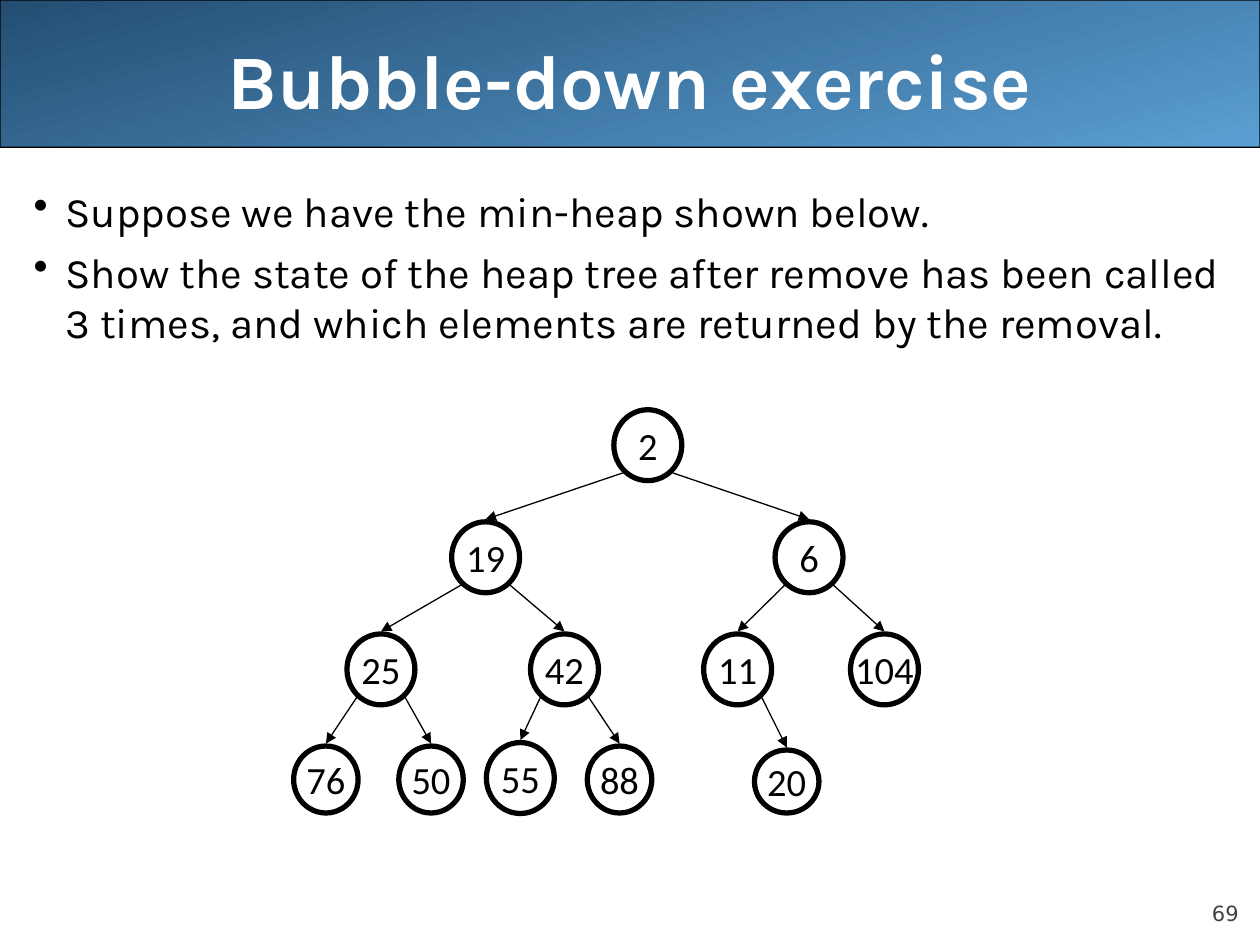
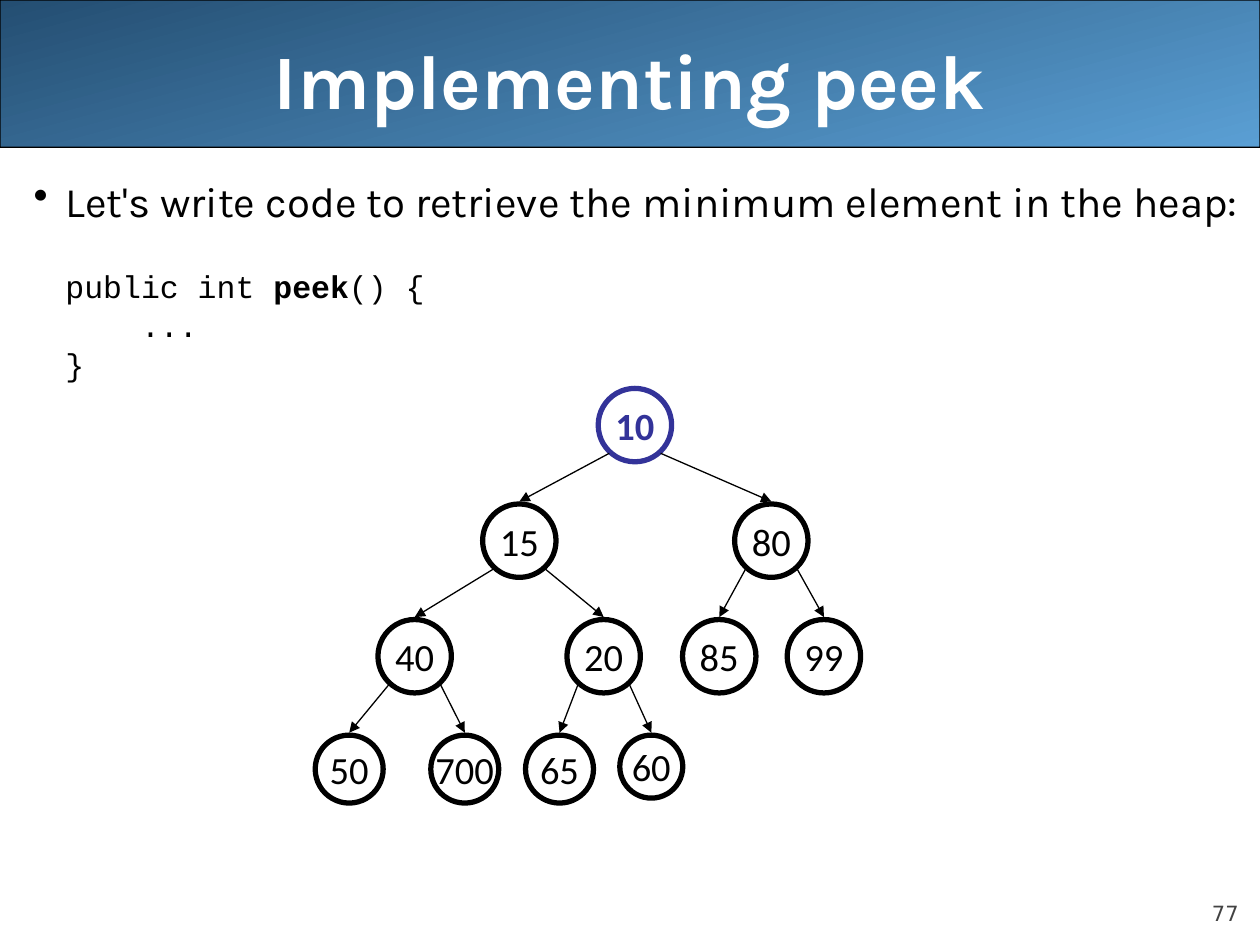
from dataclasses import dataclass

from lxml.etree import SubElement
from pptx import Presentation
from pptx.dml.color import RGBColor
from pptx.enum.shapes import MSO_CONNECTOR as Line, MSO_SHAPE as Shape
from pptx.enum.text import MSO_ANCHOR as Anchor, PP_ALIGN as Align
from pptx.oxml.ns import qn
from pptx.util import Cm, Pt


@dataclass(frozen=True)
class Theme:
    black: str = "000000"
    white: str = "FFFFFF"
    grey: str = "424242"
    accent: str = "333399"
    band: tuple = ("244E72", "5A9FD4")
    text_font: str = "Karla"
    node_font: str = "Calibri"
    code_font: str = "Courier New"
    number_font: str = "DejaVu Sans"
    title_size: int = 44
    body_size: int = 24
    node_size: int = 22
    code_size: int = 18
    number_size: int = 12
    ring: float = 3
    thin: float = 0.75


@dataclass
class Node:
    """A heap entry; lengths in cm, drop is the shift from its level."""
    label: str
    x: float
    width: float
    height: float
    drop: float = 0
    marked: bool = False


class Deck:
    EDGE_GAP = 0.05   # free space between an arrow and a node
    DIAGONAL = 0.35   # share of a node's size from centre to its 45° point

    def __init__(self, theme):
        self.theme = theme
        self.prs = Presentation()
        self.prs.slide_width, self.prs.slide_height = Cm(25.4), Cm(19.05)
        self.slide = None

    def style(self, paragraph, font, size, color, bold=False):
        for run in paragraph.runs:
            run.font.name, run.font.size, run.font.bold = font, Pt(size), bold
            run.font.color.rgb = RGBColor.from_string(color)

    def text_box(self, left, top, width, height, anchor=Anchor.TOP):
        frame = self.slide.shapes.add_textbox(
            Cm(left), Cm(top), Cm(width), Cm(height)).text_frame
        frame.word_wrap, frame.vertical_anchor = True, anchor
        return frame

    def start_slide(self, title, number):
        self.slide = self.prs.slides.add_slide(self.prs.slide_layouts[6])
        self.band()
        self.page_number(number)
        heading = self.text_box(1.27, 0, 22.86, 3.18, Anchor.MIDDLE)
        heading.text = title
        line = heading.paragraphs[0]
        line.alignment = Align.CENTER
        self.style(line, self.theme.text_font, self.theme.title_size,
                   self.theme.white, bold=True)

    def band(self):
        band = self.slide.shapes.add_shape(
            Shape.ROUNDED_RECTANGLE, 0, 0, self.prs.slide_width, Cm(2.97))
        band.adjustments[0] = 0.001
        band.shadow.inherit = False
        band.fill.gradient()
        band.fill.gradient_angle = 285
        for stop, color in zip(band.fill.gradient_stops, self.theme.band):
            stop.color.rgb = RGBColor.from_string(color)
        self.outline(band, self.theme.black, self.theme.thin)

    def page_number(self, number):
        corner = self.text_box(22.86, 17.65, 2.11, 1.02, Anchor.BOTTOM)
        corner.margin_left = corner.margin_right = 0
        corner.margin_top = corner.margin_bottom = 0
        corner.text = str(number)
        line = corner.paragraphs[0]
        line.alignment = Align.RIGHT
        self.style(line, self.theme.number_font, self.theme.number_size,
                   self.theme.grey)

    def outline(self, shape, color, width):
        shape.line.color.rgb = RGBColor.from_string(color)
        shape.line.width = Pt(width)

    def bullets(self, points, spacing=1.0):
        body = self.text_box(0.43, 3.61, 24.97, 14.4)
        body.text = "\n".join(points)
        for index, point in enumerate(body.paragraphs):
            point.line_spacing = spacing
            point.space_before = Pt(6 if index else 0)
            props = point._p.get_or_add_pPr()
            props.set("marL", str(Cm(0.64)))
            props.set("indent", str(-Cm(0.64)))
            SubElement(props, qn("a:buChar")).set("char", "•")
            self.style(point, self.theme.text_font, self.theme.body_size,
                       self.theme.black)
        return body

    def code(self, body, lines, keyword, spacing):
        """Adds code below the bullets, with the keyword in bold."""
        for index, source in enumerate(lines):
            line = body.add_paragraph()
            line.line_spacing = spacing
            line.space_before = Pt(5 if index else 28)
            line._p.get_or_add_pPr().set("marL", str(Cm(0.64)))
            for part in filter(None, source.partition(keyword)):
                line.add_run().text = part
            self.style(line, self.theme.code_font, self.theme.code_size,
                       self.theme.black)
            for run in line.runs:
                run.font.bold = run.text == keyword

    def node(self, node, top):
        color = self.theme.accent if node.marked else self.theme.black
        ring = self.slide.shapes.add_shape(
            Shape.OVAL, Cm(node.x - node.width / 2), Cm(top),
            Cm(node.width), Cm(node.height))
        ring.shadow.inherit = False
        ring.fill.background()
        self.outline(ring, color, self.theme.ring)
        frame = ring.text_frame
        frame.word_wrap, frame.vertical_anchor = False, Anchor.MIDDLE
        frame.text = node.label
        label = frame.paragraphs[0]
        label.alignment = Align.CENTER
        self.style(label, self.theme.node_font, self.theme.node_size, color,
                   node.marked)

    def arrow(self, x1, y1, x2, y2):
        arrow = self.slide.shapes.add_connector(
            Line.STRAIGHT, Cm(x1), Cm(y1), Cm(x2), Cm(y2))
        self.outline(arrow, self.theme.black, self.theme.thin)
        props = arrow._element.spPr
        SubElement(props.get_or_add_ln(), qn("a:tailEnd")).set("type", "triangle")
        SubElement(props, qn("a:effectLst"))

    def heap(self, nodes, top, step):
        """Draws a heap in array order; None marks an empty place."""
        tops = [top + step * ((i + 1).bit_length() - 1) + (n.drop if n else 0)
                for i, n in enumerate(nodes)]
        for index, child in enumerate(nodes):
            if child is None:
                continue
            self.node(child, tops[index])
            if index == 0:
                continue
            above = (index - 1) // 2
            parent = nodes[above]
            side = -1 if index % 2 else 1
            self.arrow(
                parent.x + side * self.DIAGONAL * parent.width,
                tops[above] + (0.5 + self.DIAGONAL) * parent.height + self.EDGE_GAP,
                child.x, tops[index] - self.EDGE_GAP)

    def save(self):
        self.prs.save("out.pptx")


def bubble_down_slide(deck):
    deck.start_slide("Bubble-down exercise", 69)
    deck.bullets([
        "Suppose we have the min-heap shown below.",
        "Show the state of the heap tree after remove has been called 3 times, "
        "and which elements are returned by the removal.",
    ])
    inner, leaf = (1.37, 1.43), (1.3, 1.35)
    deck.heap([
        Node("2", 13.06, *inner),
        Node("19", 9.79, *inner), Node("6", 16.31, *inner),
        Node("25", 7.68, *inner), Node("42", 11.38, *inner),
        Node("11", 14.87, *inner), Node("104", 17.83, *inner),
        Node("76", 6.57, *leaf), Node("50", 8.69, *leaf),
        Node("55", 10.49, *inner, drop=-0.07), Node("88", 12.49, *leaf),
        None, Node("20", 15.86, 1.3, 1.27, drop=0.08),
    ], top=8.26, step=2.26)


def peek_slide(deck):
    deck.start_slide("Implementing peek", 77)
    tight = 0.8
    body = deck.bullets(
        ["Let's write code to retrieve the minimum element in the heap:"], tight)
    deck.code(body, ["public int peek() {", "    ...", "}"], "peek", tight)
    inner, leaf = (1.48, 1.48), (1.37, 1.37)
    deck.heap([
        Node("10", 12.8, *inner, marked=True),
        Node("15", 10.47, *inner), Node("80", 15.55, *inner),
        Node("40", 8.36, *inner), Node("20", 12.17, *inner),
        Node("85", 14.5, *inner), Node("99", 16.61, *inner),
        Node("50", 7.04, *leaf), Node("700", 9.37, *leaf),
        Node("65", 11.28, *leaf), Node("60", 13.13, 1.27, 1.27),
    ], top=7.83, step=2.33)


def main():
    deck = Deck(Theme())
    bubble_down_slide(deck)
    peek_slide(deck)
    deck.save()


if __name__ == "__main__":
    main()
